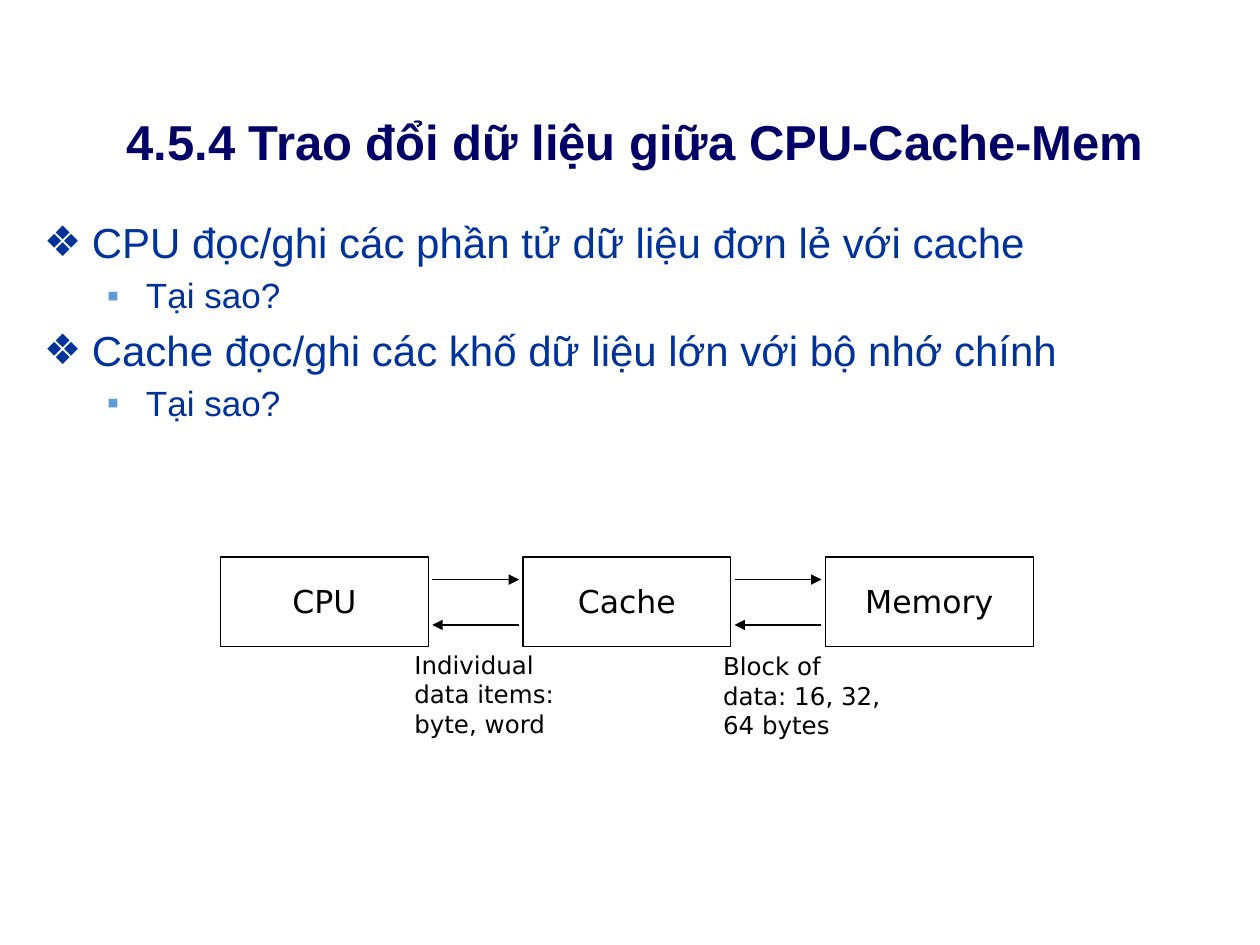
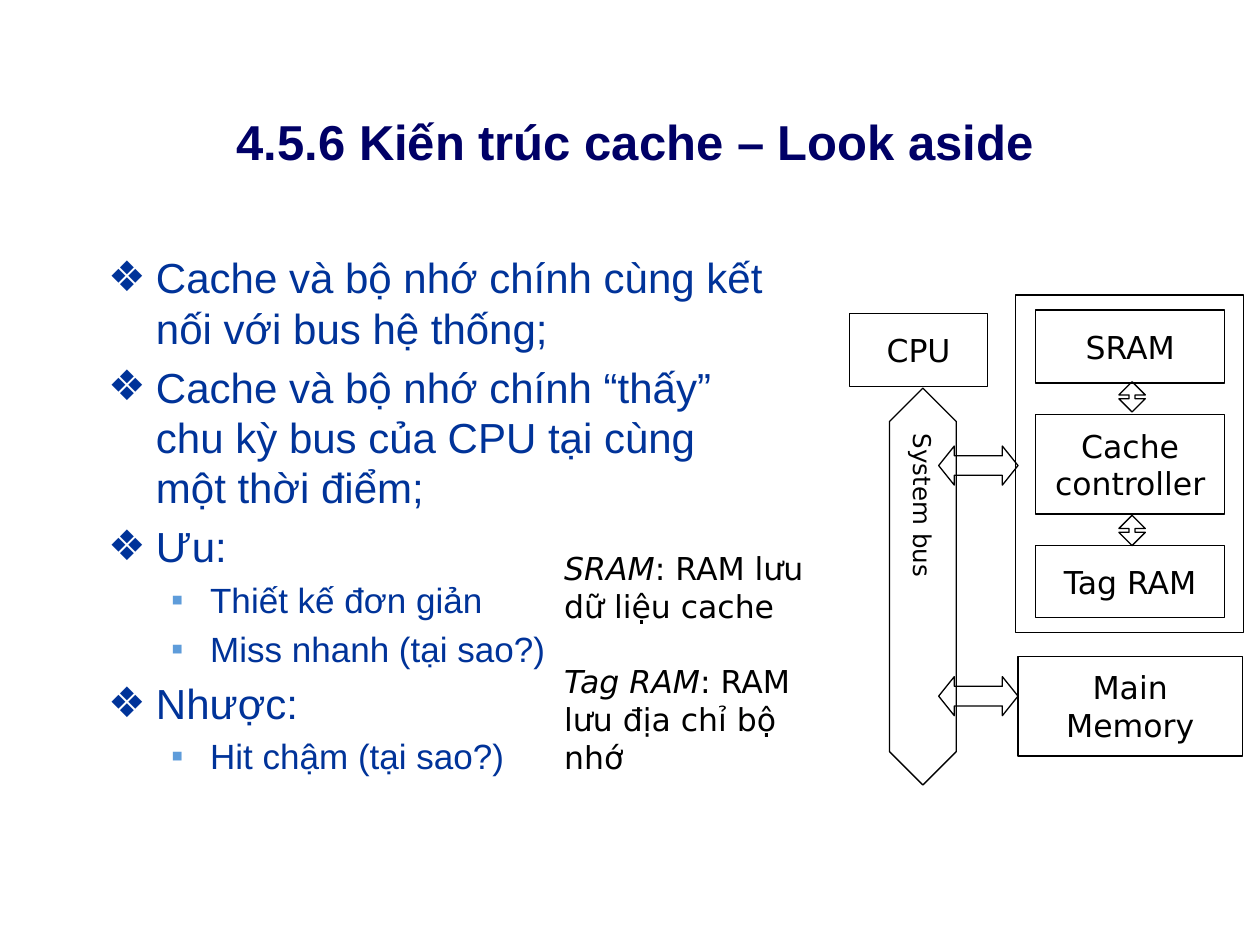
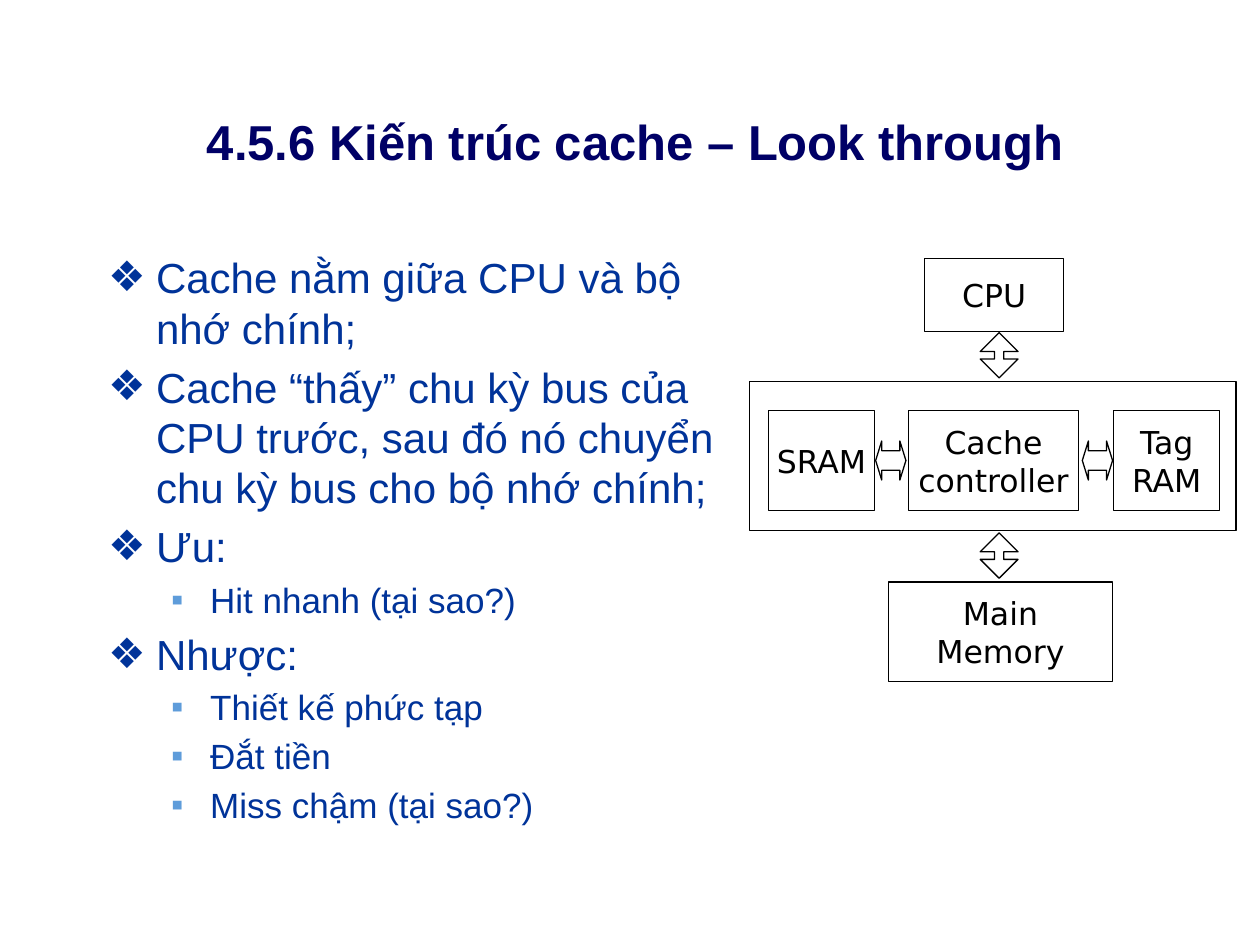
from lxml import etree
from pptx import Presentation
from pptx.dml.color import RGBColor
from pptx.enum.shapes import MSO_CONNECTOR, MSO_SHAPE
from pptx.enum.text import MSO_ANCHOR, PP_ALIGN
from pptx.oxml.ns import qn
from pptx.util import Inches, Pt

RECTANGLE = MSO_SHAPE.RECTANGLE
VERTICAL_ARROW = MSO_SHAPE.UP_DOWN_ARROW
HORIZONTAL_ARROW = MSO_SHAPE.LEFT_RIGHT_ARROW
STRAIGHT = MSO_CONNECTOR.STRAIGHT
TOP, MIDDLE = MSO_ANCHOR.TOP, MSO_ANCHOR.MIDDLE
CENTER = PP_ALIGN.CENTER

COLORS = {"title": "000066", "body": "003399", "square": "5E9CDA", "ink": "000000"}
TEXT_FONT, DIAGRAM_FONT = "Arial", "DejaVu Sans"
LINE_WIDTH = Pt(0.75)
TITLE_BOX = (0.25, 0.83, 9.58, 0.57)
BULLETS = [
    {"size": 24, "margin": 0.38, "indent": -0.38, "mark": "❖", "color": "body"},
    {"size": 20, "margin": 0.81, "indent": -0.31, "mark": "▪", "color": "square"},
]


def color(name):
    """Return the named colour."""
    return RGBColor.from_string(COLORS[name])


def style_font(paragraph, name, size, color_name, bold=None):
    """Set the font of a whole paragraph."""
    font = paragraph.font
    font.name, font.size, font.bold = name, Pt(size), bold
    font.color.rgb = color(color_name)


def add_text_frame(slide, box, anchor=TOP):
    """Add a wrapping text box and return its text frame."""
    frame = slide.shapes.add_textbox(*map(Inches, box)).text_frame
    frame.word_wrap = True
    frame.vertical_anchor = anchor
    return frame


def add_title(slide, text):
    """Add the slide title."""
    paragraph = add_text_frame(slide, TITLE_BOX, MIDDLE).paragraphs[0]
    paragraph.text = text
    paragraph.alignment = CENTER
    style_font(paragraph, TEXT_FONT, 28, "title", True)


def set_bullet(paragraph, bullet):
    """Give a paragraph its hanging indent and coloured bullet."""
    properties = paragraph._p.get_or_add_pPr()
    properties.set("marL", str(Inches(bullet["margin"])))
    properties.set("indent", str(Inches(bullet["indent"])))
    bullet_color = etree.SubElement(properties, qn("a:buClr"))
    etree.SubElement(bullet_color, qn("a:srgbClr"), val=COLORS[bullet["color"]])
    etree.SubElement(properties, qn("a:buFont"), typeface=TEXT_FONT)
    etree.SubElement(properties, qn("a:buChar"), char=bullet["mark"])


def add_body(slide, box, items):
    """Add a bulleted list of (level, text) items."""
    frame = add_text_frame(slide, box)
    for index, (level, text) in enumerate(items):
        paragraph = frame.add_paragraph() if index else frame.paragraphs[0]
        bullet = BULLETS[level]
        paragraph.text = text
        paragraph.level = level
        paragraph.space_before = Pt(bullet["size"] * 0.2)
        style_font(paragraph, TEXT_FONT, bullet["size"], "body")
        set_bullet(paragraph, bullet)


def add_outline(slide, kind, left, top, width, height):
    """Add an unfilled shape with a thin black line."""
    shape = slide.shapes.add_shape(kind, *map(Inches, (left, top, width, height)))
    shape.shadow.inherit = False
    shape.fill.background()
    shape.line.color.rgb = color("ink")
    shape.line.width = LINE_WIDTH
    return shape


def add_label(shape, text, size=18):
    """Centre a label inside a shape."""
    frame = shape.text_frame
    frame.word_wrap = False
    frame.vertical_anchor = MIDDLE
    paragraph = frame.paragraphs[0]
    paragraph.text = text
    paragraph.alignment = CENTER
    style_font(paragraph, DIAGRAM_FONT, size, "ink")
    return frame


def add_block(slide, text, left, top, width, height):
    """Add a labelled rectangle."""
    return add_label(add_outline(slide, RECTANGLE, left, top, width, height), text)


def add_double_arrow(slide, kind, head, left, top, width, height):
    """Add a double-headed block arrow with the given head length ratio."""
    shape = add_outline(slide, kind, left, top, width, height)
    shape.adjustments[0], shape.adjustments[1] = 0.5, head
    return shape


def add_arrow(slide, start, end, top):
    """Add a thin horizontal arrow."""
    arrow = slide.shapes.add_connector(STRAIGHT, *map(Inches, (start, top, end, top)))
    arrow.line.color.rgb = color("ink")
    arrow.line.width = LINE_WIDTH
    etree.SubElement(arrow.line._get_or_add_ln(), qn("a:tailEnd"), type="triangle")
    etree.SubElement(arrow._element.spPr, qn("a:effectLst"))


def add_caption(slide, text, box):
    """Add a small caption under a pair of arrows."""
    paragraph = add_text_frame(slide, box).paragraphs[0]
    paragraph.text = text
    style_font(paragraph, DIAGRAM_FONT, 14, "ink")


def draw_exchange(slide, left, top):
    """Draw CPU, cache and memory in a row, joined by arrows."""
    pitch, width, height, gap = 2.4, 1.65, 0.71, 0.03
    for index, name in enumerate(("CPU", "Cache", "Memory")):
        frame = add_block(slide, name, left + index * pitch, top, width, height)
        frame.word_wrap = True
        frame.vertical_anchor = TOP
        frame.paragraphs[0].line_spacing = 1.5
    for index in range(2):
        start = left + index * pitch + width + gap
        end = left + (index + 1) * pitch - gap
        add_arrow(slide, start, end, top + 0.18)
        add_arrow(slide, end, start, top + 0.54)
    add_caption(slide, "Individual\ndata items:\nbyte, word", (left + 1.44, top + 0.69, 1.34, 0.8))
    add_caption(slide, "Block of\ndata: 16, 32, 64 bytes", (left + 3.89, top + 0.7, 1.47, 0.8))


def draw_look_aside(slide, left, top):
    """Draw the cache and main memory side by side on the system bus."""
    cache_left = left + 1.48
    add_block(slide, "SRAM", cache_left, top + 0.12, 1.5, 0.58)
    add_block(slide, "Cache\ncontroller", cache_left, top + 0.95, 1.5, 0.79)
    add_block(slide, "Tag RAM", cache_left, top + 1.99, 1.5, 0.57)
    for offset in (0.69, 1.75):
        add_double_arrow(slide, VERTICAL_ARROW, 0.227, left + 2.14, top + offset, 0.21, 0.24)
    add_outline(slide, RECTANGLE, left + 1.32, top, 1.81, 2.68)
    add_block(slide, "Main\nMemory", left + 1.34, top + 2.87, 1.78, 0.79)
    add_block(slide, "CPU", left, top + 0.15, 1.1, 0.58)
    bus = add_double_arrow(slide, VERTICAL_ARROW, 1.19, left + 0.32, top + 0.74, 0.53, 3.15)
    add_label(bus, "System bus", 14)._txBody.bodyPr.set("vert", "eaVert")
    for offset in (3.03, 1.2):
        add_double_arrow(slide, HORIZONTAL_ARROW, 0.401, left + 0.71, top + offset, 0.63, 0.31)


def draw_look_through(slide, left, top):
    """Draw the cache between the CPU and main memory."""
    row_top = top + 1.21
    add_block(slide, "CPU", left + 1.39, top, 1.1, 0.58)
    add_outline(slide, RECTANGLE, left, top + 0.98, 3.86, 1.18)
    add_block(slide, "SRAM", left + 0.15, row_top, 0.84, 0.79)
    add_block(slide, "Cache\ncontroller", left + 1.26, row_top, 1.35, 0.79)
    add_block(slide, "Tag\nRAM", left + 2.89, row_top, 0.84, 0.79)
    add_block(slide, "Main\nMemory", left + 1.1, top + 2.57, 1.78, 0.79)
    for offset in (1, 2.64):
        add_double_arrow(slide, HORIZONTAL_ARROW, 0.2, left + offset, top + 1.45, 0.24, 0.31)
    for offset in (0.59, 2.18):
        add_double_arrow(slide, VERTICAL_ARROW, 0.244, left + 1.83, top + offset, 0.3, 0.36)


def add_glossary(slide, box, entries):
    """Add terms in italics, each followed by its meaning."""
    frame = add_text_frame(slide, box)
    for index, (term, meaning) in enumerate(entries):
        paragraph = frame.add_paragraph() if index else frame.paragraphs[0]
        style_font(paragraph, DIAGRAM_FONT, 18, "ink")
        if index:
            paragraph.space_before = Pt(21.5)
        term_run = paragraph.add_run()
        term_run.text = term
        term_run.font.italic = True
        paragraph.add_run().text = ": " + meaning


def add_slide(presentation, title, body_box, items):
    """Add a blank slide with a title and a bulleted list."""
    slide = presentation.slides.add_slide(presentation.slide_layouts[6])
    add_title(slide, title)
    add_body(slide, body_box, items)
    return slide


def main():
    """Build and save the presentation."""
    presentation = Presentation()
    presentation.slide_width, presentation.slide_height = Inches(10), Inches(7.5)

    exchange = add_slide(
        presentation, "4.5.4 Trao đổi dữ liệu giữa CPU-Cache-Mem", (0.25, 1.67, 9.58, 2.67), [
            (0, "CPU đọc/ghi các phần tử dữ liệu đơn lẻ với cache"),
            (1, "Tại sao?"),
            (0, "Cache đọc/ghi các khố dữ liệu lớn với bộ nhớ chính"),
            (1, "Tại sao?"),
        ])
    draw_exchange(exchange, 1.75, 4.42)

    look_aside = add_slide(
        presentation, "4.5.6 Kiến trúc cache – Look aside", (0.76, 1.95, 5.43, 4.76), [
            (0, "Cache và bộ nhớ chính cùng kết nối với bus hệ thống;"),
            (0, "Cache và bộ nhớ chính “thấy” chu kỳ bus của CPU tại cùng một thời điểm;"),
            (0, "Ưu:"),
            (1, "Thiết kế đơn giản"),
            (1, "Miss nhanh (tại sao?)"),
            (0, "Nhược:"),
            (1, "Hit chậm (tại sao?)"),
        ])
    draw_look_aside(look_aside, 6.74, 2.34)
    add_glossary(look_aside, (4.38, 4.31, 2.36, 1.9), [
        ("SRAM", "RAM lưu dữ liệu cache"),
        ("Tag RAM", "RAM lưu địa chỉ bộ nhớ"),
    ])

    look_through = add_slide(
        presentation, "4.5.6 Kiến trúc cache – Look through", (0.76, 1.95, 5.08, 4.76), [
            (0, "Cache nằm giữa CPU và bộ nhớ chính;"),
            (0, "Cache “thấy” chu kỳ bus của CPU trước, sau đó nó chuyển chu kỳ bus cho bộ nhớ chính;"),
            (0, "Ưu:"),
            (1, "Hit nhanh (tại sao?)"),
            (0, "Nhược:"),
            (1, "Thiết kế phức tạp"),
            (1, "Đắt tiền"),
            (1, "Miss chậm (tại sao?)"),
        ])
    draw_look_through(look_through, 5.95, 2.05)

    presentation.save("out.pptx")


if __name__ == "__main__":
    main()
